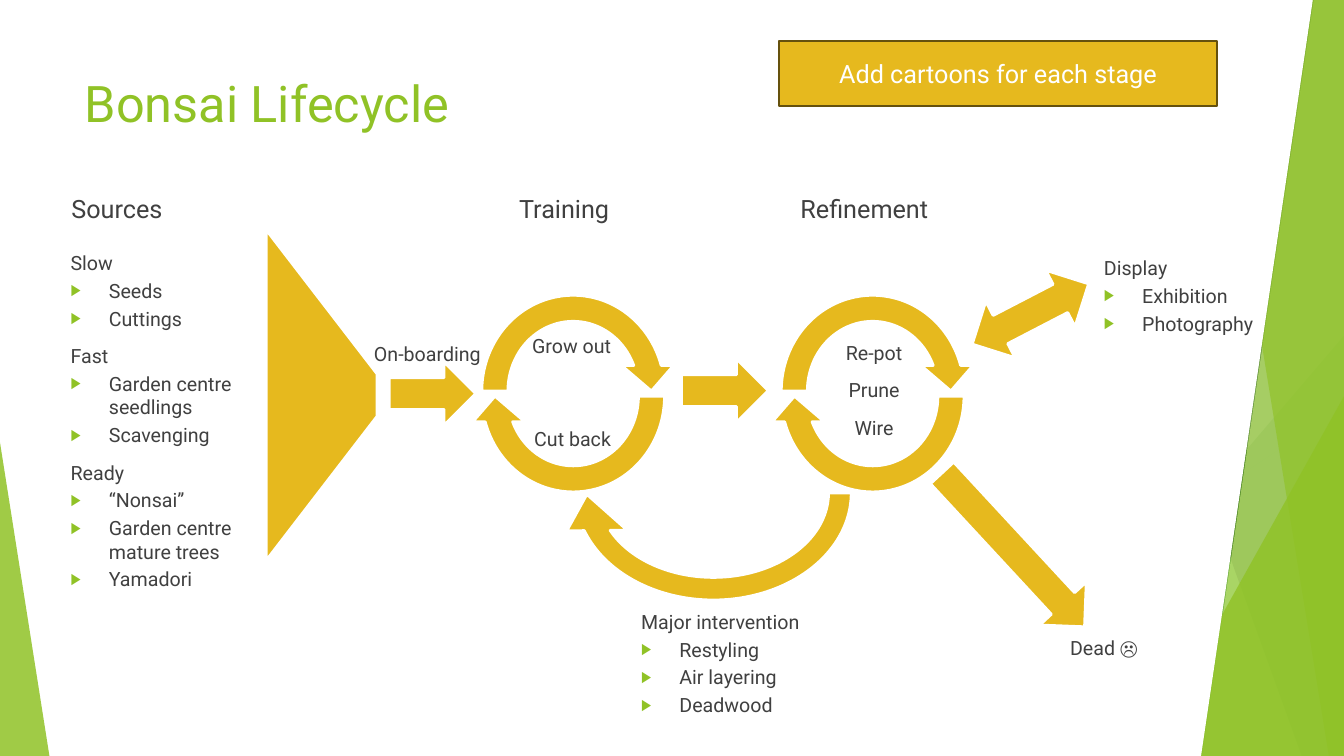
from dataclasses import dataclass

from lxml.etree import SubElement
from pptx import Presentation
from pptx.dml.color import RGBColor
from pptx.enum.shapes import MSO_CONNECTOR, MSO_SHAPE as Preset
from pptx.enum.text import MSO_ANCHOR as Anchor, MSO_AUTO_SIZE as AutoSize, PP_ALIGN as Align
from pptx.oxml.ns import qn
from pptx.util import Inches, Pt


@dataclass(frozen=True)
class Theme:
    """Colours, type sizes and spacing of the slide."""

    font: str = "Roboto"
    title_size: int = 36
    heading_size: int = 18
    body_size: int = 14
    heading_gap: int = 10
    bullet_gap: int = 3
    green: str = "90C226"
    deep_green: str = "54A021"
    dark_green: str = "3F7819"
    pale_green: str = "C0E474"
    gold: str = "E6B91E"
    dark_gold: str = "65510D"
    text: str = "404040"
    white: str = "FFFFFF"
    grey: str = "D9D9D9"


THEME = Theme()
CELL = Inches(1)
COLUMNS, ROWS = 13.33, 7.5


def cells(*counts):
    """Turn counts of grid columns or rows into lengths."""
    return [round(count * CELL) for count in counts]


def paint(shape, fill, opacity=100, line=None, line_width=2):
    """Give a shape its fill, opacity and outline, without a shadow."""
    shape.shadow.inherit = False
    shape.fill.solid()
    shape.fill.fore_color.rgb = RGBColor.from_string(fill)
    if opacity < 100:
        colour = shape.fill._xPr.find(qn("a:solidFill"))[0]
        SubElement(colour, qn("a:alpha"), val=str(opacity * 1000))
    if line:
        shape.line.color.rgb = RGBColor.from_string(line)
        shape.line.width = Pt(line_width)
    else:
        shape.line.fill.background()


def add_preset(shapes, preset, box, rotation=0, adjustments=(), fill=THEME.gold, **look):
    """Add a painted preset shape in a box of grid cells."""
    shape = shapes.add_shape(preset, *cells(*box))
    shape.rotation = rotation
    for index, value in enumerate(adjustments):
        shape.adjustments[index] = value
    paint(shape, fill, **look)
    return shape


def add_arrow(shapes, preset, box, **options):
    """Add a gold flow shape with a white outline."""
    return add_preset(shapes, preset, box, line=THEME.white, **options)


def add_wedge(shapes, top, bottom, fill, opacity):
    """Add a translucent wedge from a slanted edge to the right edge."""
    corners = [(top, 0), (COLUMNS, 0), (COLUMNS, ROWS), (bottom, ROWS)]
    start, *rest = [cells(*corner) for corner in corners]
    builder = shapes.build_freeform(*start)
    builder.add_line_segments(rest, close=True)
    paint(builder.convert_to_shape(), fill, opacity)


def add_triangle(shapes, box, apex, fill, opacity):
    """Add a translucent triangle with its apex at a share of its width."""
    add_preset(shapes, Preset.ISOSCELES_TRIANGLE, box, adjustments=[apex],
               fill=fill, opacity=opacity)


def add_bullet(paragraph):
    """Give a paragraph a green arrow bullet with a hanging indent."""
    properties = paragraph._p.get_or_add_pPr()
    indent = Inches(0.38)
    properties.set("marL", str(indent))
    properties.set("indent", str(-indent))
    colour = SubElement(properties, qn("a:buClr"))
    SubElement(colour, qn("a:srgbClr"), val=THEME.green)
    SubElement(properties, qn("a:buSzPct"), val="80000")
    SubElement(properties, qn("a:buFont"), typeface=THEME.font)
    SubElement(properties, qn("a:buChar"), char="▶")


def remove_bullet(paragraph):
    """Set a paragraph flush left without a bullet."""
    properties = paragraph._p.get_or_add_pPr()
    properties.set("marL", "0")
    properties.set("indent", "0")
    SubElement(properties, qn("a:buNone"))


def write_text(shape, outline, size=THEME.body_size, colour=THEME.text,
               align=Align.LEFT, anchor=Anchor.TOP):
    """Write headings, each with its bullets, into a shape."""
    frame = shape.text_frame
    frame.word_wrap = True
    frame.auto_size = AutoSize.NONE
    frame.vertical_anchor = anchor
    lines = []
    for heading, bullets in outline.items():
        lines.append((heading, THEME.heading_gap, remove_bullet))
        lines.extend((bullet, THEME.bullet_gap, add_bullet) for bullet in bullets)
    for index, (text, gap, set_bullet) in enumerate(lines):
        paragraph = frame.add_paragraph() if index else frame.paragraphs[0]
        paragraph.alignment = align
        paragraph.space_before = Pt(gap)
        set_bullet(paragraph)
        run = paragraph.add_run()
        run.text = text
        run.font.name = THEME.font
        run.font.size = Pt(size)
        run.font.color.rgb = RGBColor.from_string(colour)


def add_text(shapes, box, outline, **options):
    """Add a text box in a box of grid cells."""
    write_text(shapes.add_textbox(*cells(*box)), outline, **options)


def fill_placeholder(placeholder, box, outline, **options):
    """Move a placeholder to a box of grid cells and write into it."""
    placeholder.left, placeholder.top, placeholder.width, placeholder.height = cells(*box)
    write_text(placeholder, outline, **options)


def add_cycle(shapes, left):
    """Add two half-turn arrows that form a cycle."""
    group = shapes.add_group_shape()
    for top, rotation in ((2.8, 0), (2.85, 180)):
        add_arrow(group.shapes, Preset.CIRCULAR_ARROW, (left, top, 2.07, 2.16), rotation=rotation)


def add_backdrop(shapes):
    """Add the green facets at both edges and the white panel."""
    edge = shapes.add_connector(MSO_CONNECTOR.STRAIGHT, *cells(COLUMNS, 4.03, 8.12, ROWS))
    edge.line.color.rgb = RGBColor.from_string(THEME.grey)
    edge.line.width = Pt(0.75)
    SubElement(edge._element.spPr, qn("a:effectLst"))
    add_wedge(shapes, 12.28, 10.04, THEME.green, 30)
    add_wedge(shapes, 10.5, 11.83, THEME.green, 20)
    add_triangle(shapes, (9.77, 3.33, 3.56, 4.17), 1, THEME.deep_green, 72)
    add_wedge(shapes, 10.21, 12.91, THEME.dark_green, 70)
    add_wedge(shapes, 13.03, 11.92, THEME.pale_green, 70)
    add_wedge(shapes, 11.96, 13.18, THEME.green, 65)
    add_triangle(shapes, (11.34, 3.93, 1.99, 3.57), 1, THEME.green, 80)
    add_triangle(shapes, (0, 4.39, 0.49, 3.11), 0, THEME.green, 85)
    add_preset(shapes, Preset.PARALLELOGRAM, (7.47, 0, 5.54, ROWS), adjustments=[0.2],
               fill=THEME.white, line=THEME.white, line_width=1.5)


def add_flow(shapes):
    """Add the funnel, the cycles and the arrows between the stages."""
    add_arrow(shapes, Preset.TRAPEZOID, (1.55, 3.37, 3.28, 1.1), rotation=90, adjustments=[1.3])
    add_cycle(shapes, 4.65)
    add_cycle(shapes, 7.62)
    add_arrow(shapes, Preset.RIGHT_ARROW, (3.86, 3.59, 0.86, 0.63))
    add_arrow(shapes, Preset.RIGHT_ARROW, (6.76, 3.56, 0.86, 0.63))
    add_arrow(shapes, Preset.CIRCULAR_ARROW, (5.52, 3.64, 3.11, 2.5), rotation=180,
              adjustments=[0.09, 10.36, 205.26, 108, 0.12])
    add_arrow(shapes, Preset.LEFT_RIGHT_ARROW, (9.57, 2.8, 1.3, 0.63), rotation=332.6)
    add_arrow(shapes, Preset.RIGHT_ARROW, (9.01, 5.14, 2.08, 0.63), rotation=47.2)


def add_labels(shapes):
    """Add the stage headings, the step labels and the outcome lists."""
    for heading, left, width in (("Sources", 0.61, 1.18), ("Training", 5.05, 1.18),
                                 ("Refinement", 7.84, 1.72)):
        add_text(shapes, (left, 1.87, width, 0.64), {heading: ()}, size=THEME.heading_size)
    for steps, left, top, height in (
        (["On-boarding"], 3.36, 3.34, 0.78),
        (["Grow out"], 4.79, 3.26, 0.78),
        (["Cut back"], 4.8, 4.19, 0.78),
        (["Dead ☹"], 10.07, 6.26, 0.78),
        (["Re-pot", "Prune", "Wire"], 7.79, 3.33, 1.36),
    ):
        add_text(shapes, (left, top, 1.76, height), dict.fromkeys(steps, ()), align=Align.CENTER)
    add_text(shapes, (10.85, 2.49, 2.02, 1.14), {"Display": ["Exhibition", "Photography"]})
    add_text(shapes, (6.26, 6, 2.22, 1.27),
             {"Major intervention": ["Restyling", "Air layering", "Deadwood"]})


def main():
    """Build the lifecycle slide and save it."""
    presentation = Presentation()
    presentation.slide_width, presentation.slide_height = cells(COLUMNS, ROWS)
    slide = presentation.slides.add_slide(presentation.slide_layouts[1])
    shapes = slide.shapes
    fill_placeholder(shapes.title, (0.74, 0.67, 11.05, 1.26), {"Bonsai Lifecycle": ()},
                     size=THEME.title_size, colour=THEME.green)
    fill_placeholder(slide.placeholders[1], (0.6, 2.44, 2.02, 4.8), {
        "Slow": ["Seeds", "Cuttings"],
        "Fast": ["Garden centre seedlings", "Scavenging"],
        "Ready": ["“Nonsai”", "Garden centre mature trees", "Yamadori"],
    })
    add_backdrop(shapes)
    reminder = add_preset(shapes, Preset.RECTANGLE, (7.73, 0.41, 4.34, 0.64),
                          line=THEME.dark_gold, line_width=1.5)
    write_text(reminder, {"Add cartoons for each stage": ()}, size=THEME.heading_size,
               colour=THEME.white, align=Align.CENTER, anchor=Anchor.MIDDLE)
    add_flow(shapes)
    add_labels(shapes)
    presentation.save("out.pptx")


if __name__ == "__main__":
    main()
